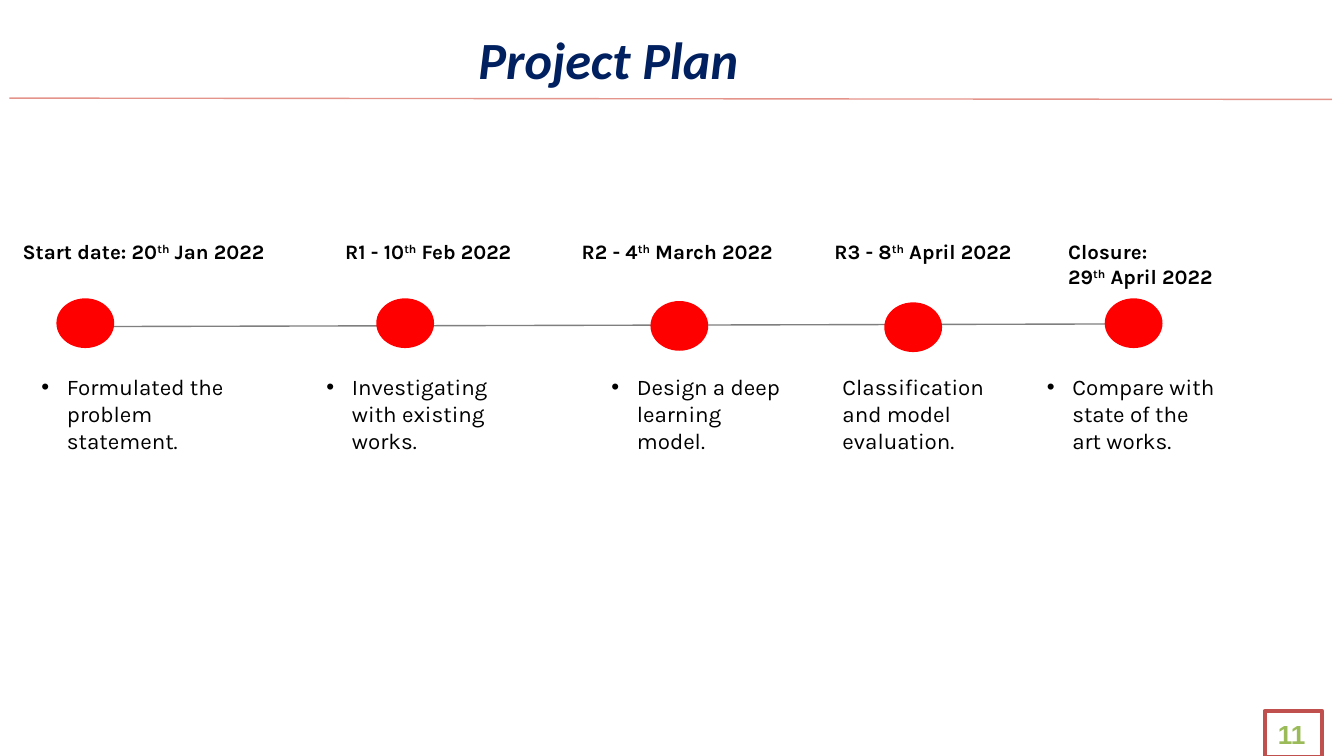
from dataclasses import dataclass

from lxml.etree import SubElement
from pptx import Presentation
from pptx.dml.color import RGBColor
from pptx.enum.shapes import MSO_CONNECTOR, MSO_SHAPE
from pptx.enum.text import MSO_ANCHOR, MSO_AUTO_SIZE, PP_ALIGN
from pptx.oxml.ns import qn
from pptx.util import Inches, Pt


@dataclass(frozen=True)
class Theme:
    navy: str = "002060"
    rule: str = "E4948A"
    axis: str = "7F7F7F"
    marker: str = "FF0000"
    ink: str = "000000"
    paper: str = "FFFFFF"
    frame: str = "C0504D"
    number: str = "9BBB59"
    title_font: str = "Calibri"
    body_font: str = "Karla"
    number_font: str = "Arial"
    title_size: int = 28
    number_size: int = 14
    body_size: int = 12
    date_size: int = 11


@dataclass(frozen=True)
class Box:
    left: float
    top: float
    width: float
    height: float

    def inner(self, left, top, width, height):
        """A box given by its offset from this one."""
        return Box(self.left + left, self.top + top, width, height)

    def place(self):
        return [Inches(n) for n in (self.left, self.top, self.width, self.height)]


@dataclass(frozen=True)
class Milestone:
    marker: tuple       # left, top
    date_box: tuple     # left, width
    dates: list         # lines of (before, ordinal suffix, after)
    task_box: tuple     # left, width, height
    task: str
    bulleted: bool = True


THEME = Theme()
SLIDE = Box(0, 0, 10, 10 * 9 / 16)
MARKER_SIZE = (0.43, 0.37)
TASK_TOP = 1.0
TASK_INDENT = 0.19

MILESTONES = [
    Milestone((0.42, 0.49), (0.07, 2.12), [("Start date: 20", "th", " Jan 2022")],
              (0.21, 1.68, 0.71), "Formulated the problem statement."),
    Milestone((2.8, 0.49), (2.47, 1.64), [("R1 - 10", "th", " Feb 2022")],
              (2.33, 1.68, 0.79), "Investigating with existing works."),
    Milestone((4.84, 0.51), (4.23, 1.68), [("R2 - 4", "th", " March 2022")],
              (4.45, 1.55, 2.42), "Design a deep learning model."),
    Milestone((6.58, 0.52), (6.11, 1.55), [("R3 - 8", "th", " April 2022")],
              (6.17, 1.49, 2.42), "Classification and model evaluation.", False),
    Milestone((8.22, 0.49), (7.85, 1.56),
              [("Closure:", "", ""), ("29", "th", " April 2022")],
              (7.69, 1.49, 2.42), "Compare with state of the art works."),
]


def color(value):
    return RGBColor.from_string(value)


def add_span(para, text, font, size, ink, bold=False, italic=False):
    span = para.add_run()
    span.text = text
    span.font.name, span.font.size = font, Pt(size)
    span.font.bold, span.font.italic = bold, italic
    span.font.color.rgb = color(ink)
    return span


def add_text_box(page, box):
    frame = page.shapes.add_textbox(*box.place()).text_frame
    frame.word_wrap = True
    return frame


def add_line(page, start, end, ink):
    line = page.shapes.add_connector(
        MSO_CONNECTOR.STRAIGHT, *[Inches(n) for n in (*start, *end)])
    line.line.color.rgb = color(ink)
    line.line.width = Pt(0.75)
    SubElement(line.element.spPr, qn("a:effectLst"))


def add_shape(page, kind, box, fill):
    shape = page.shapes.add_shape(kind, *box.place())
    shape.shadow.inherit = False
    shape.fill.solid()
    shape.fill.fore_color.rgb = color(fill)
    shape.line.fill.background()
    return shape


def add_bullet(para):
    props = para._p.get_or_add_pPr()
    props.set("marL", str(Inches(TASK_INDENT)))
    props.set("indent", str(-Inches(TASK_INDENT)))
    tint = SubElement(props, qn("a:buClr"))
    SubElement(tint, qn("a:srgbClr"), val=THEME.ink)
    SubElement(props, qn("a:buFont"), typeface="Arial")
    SubElement(props, qn("a:buChar"), char="•")


def add_header(page, box):
    # Title
    title = page.shapes.title
    title.left, title.top, title.width, title.height = box.inner(3.46, 0.15, 3.74, 0.55).place()
    frame = title.text_frame
    frame.auto_size = MSO_AUTO_SIZE.NONE
    frame.vertical_anchor = MSO_ANCHOR.TOP
    para = frame.paragraphs[0]
    para.alignment = PP_ALIGN.LEFT
    add_span(para, "Project Plan", THEME.title_font, THEME.title_size, THEME.navy, True, True)
    # Rule under the title
    add_line(page, (box.left + 0.07, box.top + 0.73), (box.left + 9.91, box.top + 0.74), THEME.rule)


def add_date(page, box, lines):
    frame = add_text_box(page, box)
    for index, (before, suffix, after) in enumerate(lines):
        para = frame.add_paragraph() if index else frame.paragraphs[0]
        for text in filter(None, (before, suffix, after)):
            span = add_span(para, text, THEME.body_font, THEME.date_size, THEME.ink, True)
            if text == suffix:
                span.font._element.set("baseline", "30000")


def add_task(page, box, text, bulleted):
    para = add_text_box(page, box).paragraphs[0]
    if bulleted:
        add_bullet(para)
    add_span(para, text, THEME.body_font, THEME.body_size, THEME.ink)


def add_timeline(page, box):
    # Axis behind the markers
    add_line(page, (box.left + 8.55, box.top + 0.68), (box.left + 0.67, box.top + 0.7), THEME.axis)
    for stone in MILESTONES:
        add_shape(page, MSO_SHAPE.OVAL, box.inner(*stone.marker, *MARKER_SIZE), THEME.marker)
        left, width = stone.date_box
        height = 0.79 if len(stone.dates) == 1 else 1.26
        add_date(page, box.inner(left, 0, width, height), stone.dates)
        left, width, height = stone.task_box
        add_task(page, box.inner(left, TASK_TOP, width, height), stone.task, stone.bulleted)


def add_page_number(page, box, number):
    badge = add_shape(page, MSO_SHAPE.RECTANGLE, box, THEME.paper)
    badge.line.color.rgb = color(THEME.frame)
    badge.line.width = Pt(2)
    para = badge.text_frame.paragraphs[0]
    para.alignment = PP_ALIGN.LEFT
    add_span(para, number, THEME.number_font, THEME.number_size, THEME.number, True)


def main():
    deck = Presentation()
    deck.slide_width, deck.slide_height = Inches(SLIDE.width), Inches(SLIDE.height)
    page = deck.slides.add_slide(deck.slide_layouts.get_by_name("Title Only"))
    add_header(page, SLIDE.inner(0, 0, SLIDE.width, 0.75))
    add_timeline(page, SLIDE.inner(0, 1.73, SLIDE.width, 3.42))
    add_page_number(page, SLIDE.inner(9.41, 5.29, 0.43, 0.34), "11")
    deck.save("out.pptx")


if __name__ == "__main__":
    main()
